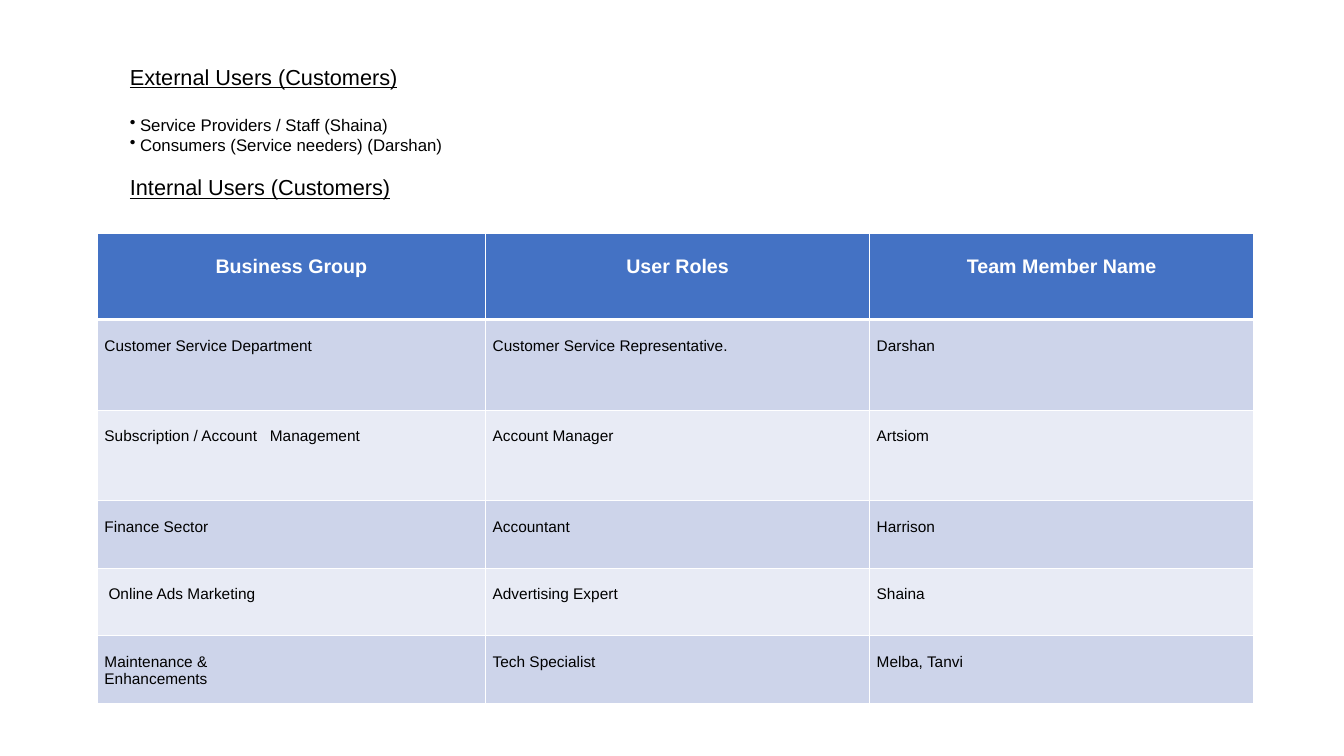
from dataclasses import dataclass
from lxml.etree import SubElement
from pptx import Presentation
from pptx.dml.color import RGBColor as Rgb
from pptx.enum.text import MSO_AUTO_SIZE as AutoSize, PP_ALIGN as Align
from pptx.oxml import parse_xml
from pptx.oxml.ns import nsdecls, qn
from pptx.util import Inches, Pt


@dataclass(frozen=True)
class Theme:
    face: str = "Arial"
    ink: str = "000000"
    paper: str = "FFFFFF"
    header: str = "4472C4"
    bands: tuple = ("CDD4EA", "E8EBF5")
    title_size: float = 15.5
    list_size: float = 12
    header_size: float = 14
    body_size: float = 11
    thin: int = 1
    thick: int = 3


def apply(target, formats):
    for attribute, value in formats.items():
        setattr(target, attribute, value)


class UsersSlide:
    def __init__(self, deck, theme):
        self.theme = theme
        self.width, self.height = deck.slide_width, deck.slide_height
        self.slide = deck.slides.add_slide(deck.slide_layouts[6])

    def across(self, percent):
        return round(self.width * percent / 100)

    def down(self, percent):
        return round(self.height * percent / 100)

    def style(self, paragraph, size, color, **formats):
        for run in paragraph.runs:
            apply(run.font, {"name": self.theme.face, "size": Pt(size), **formats})
            run.font.color.rgb = Rgb.from_string(color)

    def bullet(self, paragraph):
        properties = paragraph._p.get_or_add_pPr()
        indent = Inches(0.1)
        properties.set("marL", str(indent))
        properties.set("indent", str(-indent))
        SubElement(properties, qn("a:buChar")).set("char", "•")

    def tab(self, paragraph, position):
        stops = SubElement(paragraph._p.get_or_add_pPr(), qn("a:tabLst"))
        stop = SubElement(stops, qn("a:tab"))
        stop.set("pos", str(Inches(position)))
        stop.set("algn", "l")

    def outline(self, left, top, width, height, entries):
        box = self.slide.shapes.add_textbox(
            self.across(left), self.down(top), self.across(width), self.down(height))
        frame = box.text_frame
        apply(frame, {"word_wrap": True, "auto_size": AutoSize.SHAPE_TO_FIT_TEXT})
        frame.text = "\n".join(text for text, _, _ in entries)
        for paragraph, (_, is_title, gap) in zip(frame.paragraphs, entries):
            if gap:
                paragraph.space_before = Pt(gap)
            if not is_title:
                self.bullet(paragraph)
            size = self.theme.title_size if is_title else self.theme.list_size
            self.style(paragraph, size, self.theme.ink, underline=is_title)

    def borders(self, cell, **widths):
        properties = cell._tc.get_or_add_tcPr()
        for place, side in enumerate("LRTB"):
            width = Pt(widths.get(side, self.theme.thin))
            properties.insert(place, parse_xml(
                f'<a:ln{side} {nsdecls("a")} w="{width}"><a:solidFill>'
                f'<a:srgbClr val="{self.theme.paper}"/></a:solidFill></a:ln{side}>'))

    def cell(self, cell, text, row):
        theme = self.theme
        is_header = row == 0
        size = theme.header_size if is_header else theme.body_size
        color = theme.paper if is_header else theme.ink
        apply(cell, {"margin_left": Inches(0.07), "margin_right": Inches(0.07),
                     "margin_top": Pt(size * 1.15), "margin_bottom": 0})
        cell.fill.solid()
        fill = theme.header if is_header else theme.bands[(row - 1) % 2]
        cell.fill.fore_color.rgb = Rgb.from_string(fill)
        header_edge = {0: {"B": theme.thick}, 1: {"T": theme.thick}}
        self.borders(cell, **header_edge.get(row, {}))
        cell.text_frame.text = text
        for paragraph in cell.text_frame.paragraphs:
            paragraph.alignment = Align.CENTER if is_header else Align.LEFT
            if "\t" in text:
                self.tab(paragraph, 1.64)
            self.style(paragraph, size, color, bold=is_header)

    def table(self, left, top, columns, rows, records):
        table = self.slide.shapes.add_table(
            len(rows), len(columns), self.across(left), self.down(top),
            self.across(sum(columns)), self.down(sum(rows))).table
        apply(table, {"first_row": False, "horz_banding": False})
        for column, share in zip(table.columns, columns):
            column.width = self.across(share)
        for row, share in zip(table.rows, rows):
            row.height = self.down(share)
        for row, record in enumerate(records):
            for column, text in enumerate(record):
                self.cell(table.cell(row, column), text, row)
        return table


USER_OUTLINE = [
    ("External Users (Customers)", True, 0),
    ("Service Providers / Staff (Shaina)", False, 17.8),
    ("Consumers (Service needers) (Darshan)", False, 0),
    ("Internal Users (Customers)", True, 13.8),
]

TEAM = [
    ("Business Group", "User Roles", "Team Member Name"),
    ("Customer Service Department", "Customer Service Representative.", "Darshan"),
    ("Subscription / Account\tManagement", "Account Manager", "Artsiom"),
    ("Finance Sector", "Accountant", "Harrison"),
    ("Online Ads Marketing", "Advertising Expert", "Shaina"),
    ("Maintenance &\nEnhancements", "Tech Specialist", "Melba, Tanvi"),
]


def main():
    deck = Presentation()
    apply(deck, {"slide_width": Inches(13.33), "slide_height": Inches(7.5)})
    users = UsersSlide(deck, Theme())
    team = users.table(7.25, 30.85, [28.88, 28.58, 28.58],
                       [11.4, 12, 12] + [8.93] * 3, TEAM)
    team.cell(4, 0).margin_left = Inches(0.11)
    users.outline(8.93, 7.73, 25.5, 24.8, USER_OUTLINE)
    deck.save("out.pptx")


if __name__ == "__main__":
    main()
